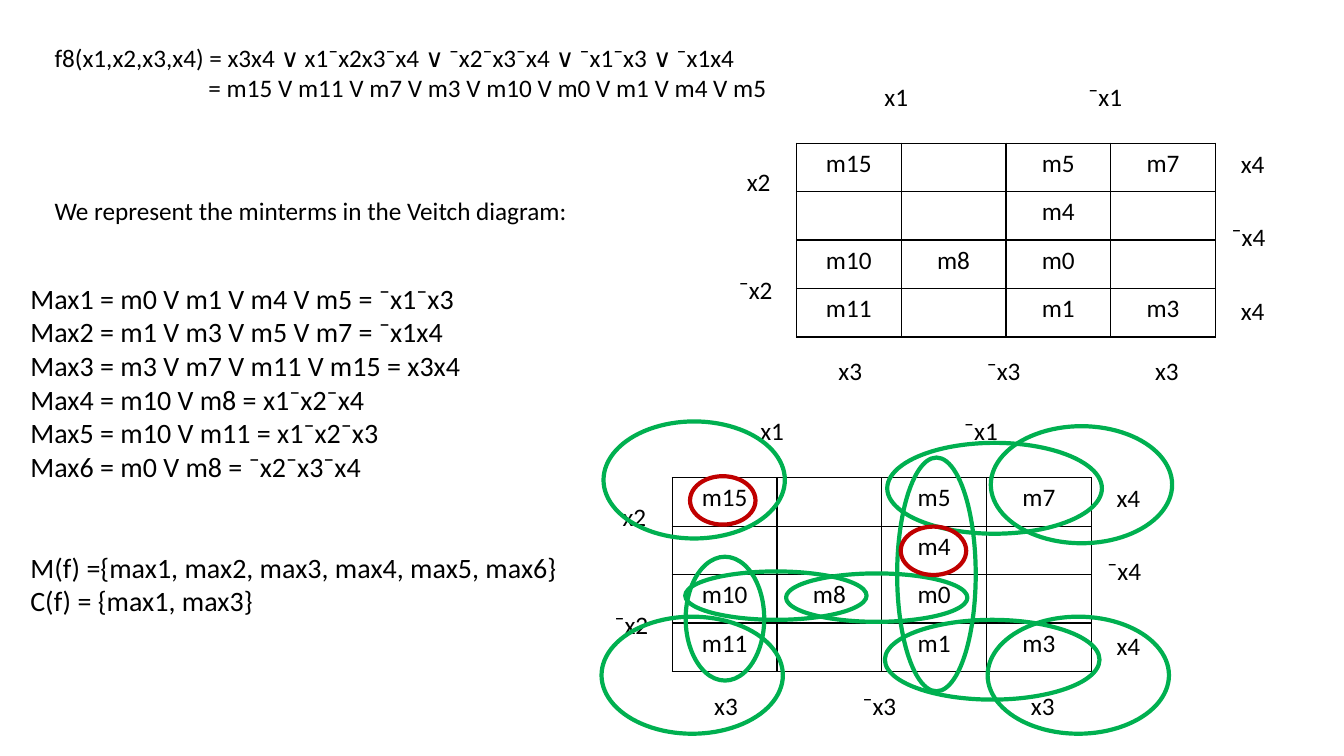
from dataclasses import dataclass

from lxml import etree
from pptx import Presentation
from pptx import util as u
from pptx.dml.color import RGBColor
from pptx.enum import shapes, text
from pptx.oxml.ns import qn


@dataclass(frozen=True)
class Theme:
    font: str = "Calibri"
    ink: RGBColor = RGBColor(0x00, 0x00, 0x00)
    paper: RGBColor = RGBColor(0xFF, 0xFF, 0xFF)
    maximal: RGBColor = RGBColor(0x00, 0xB0, 0x50)
    central: RGBColor = RGBColor(0xC0, 0x00, 0x00)
    label_size: int = 18
    list_size: int = 20
    ring_width: int = 3
    border_width: int = 1


# Veitch diagram content; label offsets in cm from the grid corner
MINTERMS = [
    ["m15", "", "m5", "m7"],
    ["", "", "m4", ""],
    ["m10", "m8", "m0", ""],
    ["m11", "", "m1", "m3"],
]
COL, ROW = 2.64, 1.22
AXIS_LABELS = [
    ("x1", 1.97, -1.69), ("¯x1", 7.11, -1.69),
    ("x4", 10.95, 0), ("¯x4", 10.72, 1.83), ("x4", 10.95, 3.71),
    ("x3", 0.81, 5.22), ("¯x3", 4.55, 5.22), ("x3", 8.79, 5.22),
    ("x2", -1.5, 0.46), ("¯x2", -1.7, 3.19),
]

# Text as (line, indent in cm, space before in pt)
FORMULA = [
    ("f8(x1,x2,x3,x4) = x3x4 ∨ x1¯x2x3¯x4 ∨ ¯x2¯x3¯x4 ∨ ¯x1¯x3 ∨ ¯x1x4", 0, 0),
    ("= m15 V m11 V m7 V m3 V m10 V m0 V m1 V m4 V m5", 3.88, 0),
    ("We represent the minterms in the Veitch diagram:", 0, 66),
]
MAXIMALS = [
    ("Max1 = m0 V m1 V m4 V m5 = ¯x1¯x3", 0, 0),
    ("Max2 = m1 V m3 V m5 V m7 = ¯x1x4", 0, 0),
    ("Max3 = m3 V m7 V m11 V m15 = x3x4", 0, 0),
    ("Max4 = m10 V m8 = x1¯x2¯x4", 0, 0),
    ("Max5 = m10 V m11 = x1¯x2¯x3", 0, 0),
    ("Max6 = m0 V m8 = ¯x2¯x3¯x4", 0, 0),
    ("M(f) ={max1, max2, max3, max4, max5, max6}", 0, 48),
    ("C(f) = {max1, max3}", 0, 0),
]

# Rings as (left, top) in cm, grouped by size
CORNER, PAIR, SINGLE = (4.57, 2.95), (4.57, 1.22), (1.65, 1.22)
MAXIMAL_RINGS = [
    ((1.98, 5.89), [(22.61, 11.53)]),
    ((5.41, 2.29), [(22.36, 11.16)]),
    ((5.41, 2.01), [(22.3, 15.62)]),
    (CORNER, [(24.89, 15.54), (24.97, 10.74), (15.16, 15.54), (15.21, 10.62)]),
    (PAIR, [(17.27, 14.4), (19.81, 14.45)]),
    ((1.98, 3.12), [(17.28, 14.03)]),
]
CENTRAL_RINGS = [(SINGLE, [(22.7, 13.27), (17.39, 12)])]


class SlideBuilder:
    def __init__(self, slide, theme):
        self.slide, self.theme = slide, theme

    def style(self, p, size):
        for r in p.runs:
            r.font.name = self.theme.font
            r.font.size = u.Pt(size)
            r.font.color.rgb = self.theme.ink

    def placeholder(self, sp, lines, box, size):
        sp.left, sp.top, sp.width, sp.height = map(u.Cm, box)
        tf = sp.text_frame
        tf.auto_size = text.MSO_AUTO_SIZE.NONE
        tf.vertical_anchor = text.MSO_ANCHOR.TOP
        for i, (line, indent, before) in enumerate(lines):
            p = tf.paragraphs[0] if i == 0 else tf.add_paragraph()
            p.text = line
            p.alignment = text.PP_ALIGN.LEFT
            p.space_before = u.Pt(before)
            pPr = p._p.get_or_add_pPr()
            pPr.set("marL", str(u.Cm(indent)))
            pPr.set("indent", "0")
            etree.SubElement(pPr, qn("a:buNone"))
            self.style(p, size)

    def label(self, caption, left, top):
        width = 1.17 if len(caption) == 2 else 1.6
        sp = self.slide.shapes.add_textbox(*map(u.Cm, (left, top, width, 1.02)))
        tf = sp.text_frame
        tf.word_wrap = True
        tf.margin_right = 0
        tf.text = caption
        self.style(tf.paragraphs[0], self.theme.label_size)

    def borders(self, cell):
        tcPr = cell._tc.get_or_add_tcPr()
        for i, side in enumerate(("lnL", "lnR", "lnT", "lnB")):
            ln = etree.Element(qn("a:" + side), w=str(u.Pt(self.theme.border_width)))
            fill = etree.SubElement(ln, qn("a:solidFill"))
            etree.SubElement(fill, qn("a:srgbClr"), val=str(self.theme.ink))
            tcPr.insert(i, ln)

    def veitch(self, left, top):
        n = len(MINTERMS)
        table = self.slide.shapes.add_table(
            n, n, *map(u.Cm, (left, top, n * COL, n * ROW))).table
        table.first_row = table.horz_banding = False
        for i in range(n):
            table.columns[i].width = u.Cm(COL)
            table.rows[i].height = u.Cm(ROW)
        for row, names in enumerate(MINTERMS):
            for col, name in enumerate(names):
                cell = table.cell(row, col)
                cell.text = name
                cell.fill.solid()
                cell.fill.fore_color.rgb = self.theme.paper
                p = cell.text_frame.paragraphs[0]
                p.alignment = text.PP_ALIGN.CENTER
                self.style(p, self.theme.label_size)
                self.borders(cell)
        for caption, dx, dy in AXIS_LABELS:
            self.label(caption, left + dx, top + dy)

    def rings(self, groups, color):
        for size, corners in groups:
            for corner in corners:
                sp = self.slide.shapes.add_shape(
                    shapes.MSO_SHAPE.OVAL, *map(u.Cm, corner + size))
                sp.shadow.inherit = False
                sp.fill.background()
                sp.line.color.rgb = color
                sp.line.width = u.Pt(self.theme.ring_width)


def main():
    prs = Presentation()
    prs.slide_width, prs.slide_height = u.Cm(33.87), u.Cm(19.05)
    theme = Theme()
    s = prs.slides.add_slide(prs.slide_layouts[1])
    builder = SlideBuilder(s, theme)

    # Function and its maximal monomials
    builder.placeholder(s.shapes.title, FORMULA, (1.12, 0.94, 18.57, 6.4), theme.label_size)
    builder.placeholder(s.placeholders[1], MAXIMALS, (0.51, 6.96, 15.39, 8.81), theme.list_size)

    # Plain diagram, then the one with the groups ringed
    builder.veitch(20.07, 3.61)
    builder.veitch(16.94, 12.04)
    builder.rings(MAXIMAL_RINGS, theme.maximal)
    builder.rings(CENTRAL_RINGS, theme.central)

    prs.save("out.pptx")


if __name__ == "__main__":
    main()
